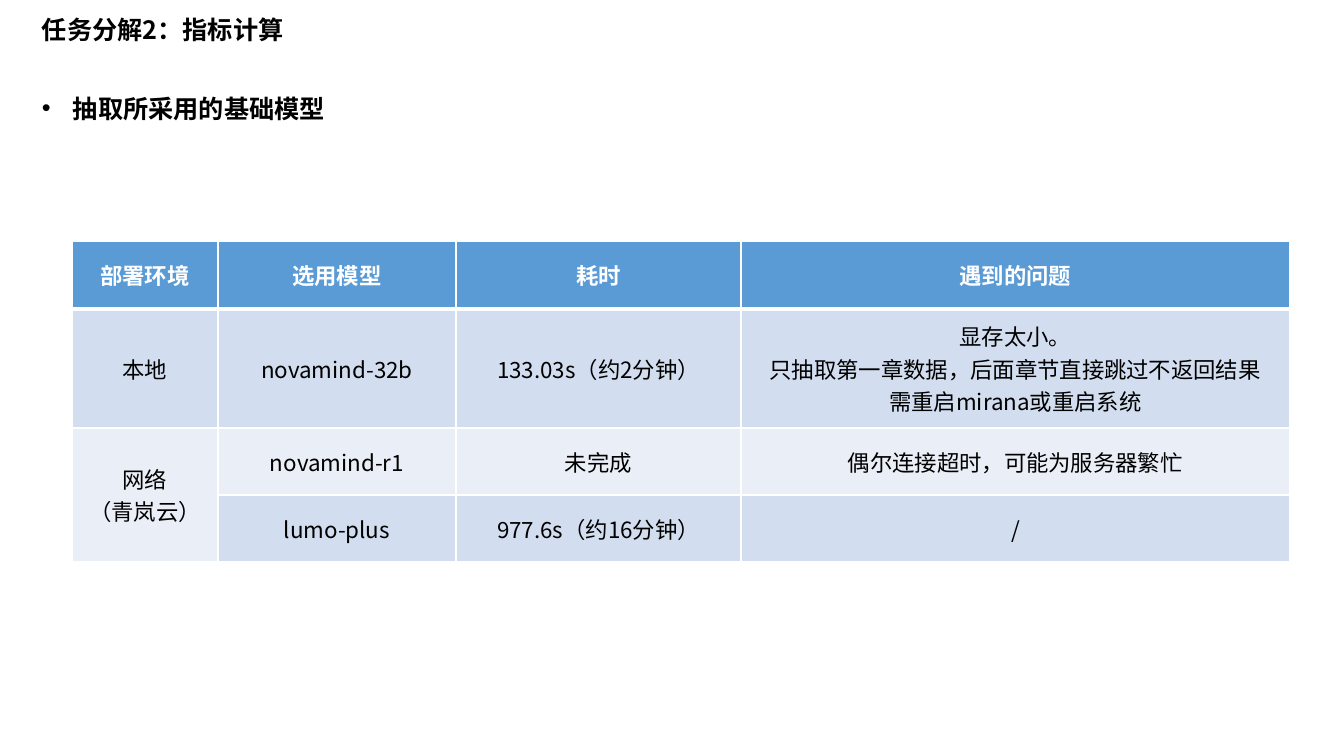
from lxml import etree
from pptx import Presentation
from pptx.dml.color import RGBColor
from pptx.enum.text import MSO_ANCHOR, MSO_AUTO_SIZE, PP_ALIGN
from pptx.oxml.ns import qn
from pptx.util import Pt

TITLE = "任务分解2：指标计算"
BULLET = "抽取所采用的基础模型"
ROWS = [
    ["部署环境", "选用模型", "耗时", "遇到的问题"],
    ["本地", "novamind-32b", "133.03s（约2分钟）",
     "显存太小。\n只抽取第一章数据，后面章节直接跳过不返回结果\n需重启mirana或重启系统"],
    ["网络\n（青岚云）", "novamind-r1", "未完成", "偶尔连接超时，可能为服务器繁忙"],
    ["", "lumo-plus", "977.6s（约16分钟）", "/"],
]

PX = 9071.43  # EMU in one px
SLIDE_W, SLIDE_H = 1344, 756
TITLE_BOX = (32, 9, 535, 40)
BULLET_BOX = (32, 88, 1095, 40)
INDENT = 31
TABLE_LEFT, TABLE_TOP = 72, 241
COL_W = [146, 238, 285, 549]
ROW_H = [68, 119, 67, 67]

FONT = "Noto Sans CJK SC"
BLACK = RGBColor(0x00, 0x00, 0x00)
WHITE = RGBColor(0xFF, 0xFF, 0xFF)
BLUE = RGBColor(0x5B, 0x9B, 0xD5)
BAND_DARK = RGBColor(0xD2, 0xDE, 0xEF)
BAND_LIGHT = RGBColor(0xEA, 0xEF, 0xF7)
ROW_FILLS = [BLUE, BAND_DARK, BAND_LIGHT, BAND_DARK]

HEADING = {"size": Pt(18), "bold": True, "color": BLACK}
HEADER = {"size": Pt(16), "bold": True, "color": WHITE}
BODY = {"size": Pt(16), "bold": False, "color": BLACK}

CENTER = PP_ALIGN.CENTER
MIDDLE = MSO_ANCHOR.MIDDLE
GROW = MSO_AUTO_SIZE.SHAPE_TO_FIT_TEXT


def emu(px):
    return round(px * PX)


def add_run(p, text, style):
    r = p.add_run()
    r.text = text
    r.font.name = FONT
    for key, value in style.items():
        if key == "color":
            r.font.color.rgb = value
        else:
            setattr(r.font, key, value)
    etree.SubElement(r.font._element, qn("a:ea"), typeface=FONT)


def add_heading(slide, box, text):
    tf = slide.shapes.add_textbox(*map(emu, box)).text_frame
    tf.word_wrap = True
    tf.auto_size = GROW
    p = tf.paragraphs[0]
    add_run(p, text, HEADING)
    return p


def add_bullet(p):
    pPr = p._p.get_or_add_pPr()
    pPr.set("marL", str(emu(INDENT)))
    pPr.set("indent", str(-emu(INDENT)))
    etree.SubElement(pPr, qn("a:buFont"), typeface="Arial")
    etree.SubElement(pPr, qn("a:buChar"), char="•")


def set_borders(cell, widths):
    """Draw white borders; widths are points for left, right, top, bottom."""
    tcPr = cell._tc.get_or_add_tcPr()
    for i, (side, width) in enumerate(zip("LRTB", widths)):
        ln = etree.Element(qn(f"a:ln{side}"), w=str(Pt(width)))
        fill = etree.SubElement(ln, qn("a:solidFill"))
        etree.SubElement(fill, qn("a:srgbClr"), val=str(WHITE))
        tcPr.insert(i, ln)


def fill_cell(cell, row, text):
    cell.fill.solid()
    cell.fill.fore_color.rgb = ROW_FILLS[row]
    cell.vertical_anchor = MIDDLE
    set_borders(cell, (1, 1, 3 if row == 1 else 1, 3 if row == 0 else 1))
    if not text:
        return
    tf = cell.text_frame
    for i, line in enumerate(text.split("\n")):
        p = tf.add_paragraph() if i else tf.paragraphs[0]
        p.alignment = CENTER
        add_run(p, line, BODY if row else HEADER)


def add_model_table(slide):
    box = (TABLE_LEFT, TABLE_TOP, sum(COL_W), sum(ROW_H))
    table = slide.shapes.add_table(len(ROWS), len(COL_W), *map(emu, box)).table
    for col, width in zip(table.columns, COL_W):
        col.width = emu(width)
    for row, height in zip(table.rows, ROW_H):
        row.height = emu(height)
    for i, texts in enumerate(ROWS):
        for j, text in enumerate(texts):
            fill_cell(table.cell(i, j), i, text)
    table.cell(2, 0).merge(table.cell(3, 0))


def main():
    prs = Presentation()
    prs.slide_width, prs.slide_height = emu(SLIDE_W), emu(SLIDE_H)
    s = prs.slides.add_slide(prs.slide_layouts[6])
    add_heading(s, TITLE_BOX, TITLE)
    add_bullet(add_heading(s, BULLET_BOX, BULLET))
    add_model_table(s)
    prs.save("out.pptx")


if __name__ == "__main__":
    main()
